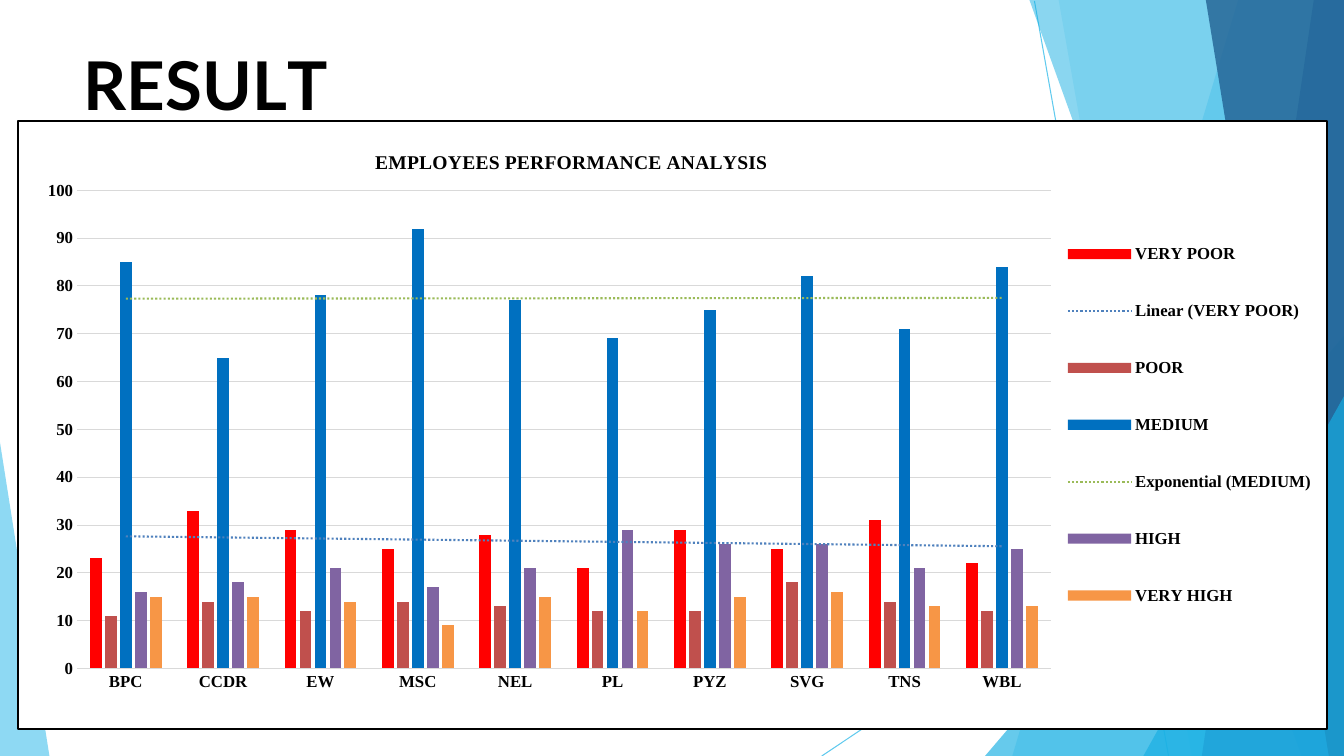
import pptx
import pptx.chart.data
import pptx.dml.color
import pptx.enum.chart
import pptx.enum.shapes
import pptx.enum.text
import pptx.oxml
import pptx.oxml.ns
import pptx.util
from lxml import etree

Inches, Pt = pptx.util.Inches, pptx.util.Pt
qn = pptx.oxml.ns.qn
WIDE, HIGH = 13.33, 7.5
SERIF = "Times New Roman"
COLORS = {
    "black": "000000", "white": "FFFFFF", "grid": "D9D9D9",
    "sky": "5FCAEE", "cyan": "17AFE3", "blue": "2D83C3", "navy": "226192",
    "very poor": "FF0000", "poor": "C0504D", "medium": "0070C0",
    "high": "8064A2", "very high": "F79646",
    "linear": "4F81BD", "exp": "9BBB59",
}
BANDS = [  # colour, opacity in percent, corners
    ("sky", 36, [(WIDE, 0), (12.28, 0), (10.04, HIGH), (WIDE, HIGH)]),
    ("sky", 20, [(WIDE, 0), (10.5, 0), (11.82, HIGH), (WIDE, HIGH)]),
    ("cyan", 66, [(WIDE, 3.33), (9.77, HIGH), (WIDE, HIGH)]),
    ("cyan", 50, [(WIDE, 0), (10.21, 0), (12.91, HIGH), (WIDE, HIGH)]),
    ("blue", 70, [(WIDE, 0), (13.03, 0), (11.92, HIGH), (WIDE, HIGH)]),
    ("navy", 80, [(WIDE, 0), (11.96, 0), (13.18, HIGH), (WIDE, HIGH)]),
    ("cyan", 66, [(WIDE, 3.93), (11.34, HIGH), (WIDE, HIGH)]),
    ("sky", 70, [(0, 4.39), (0, HIGH), (0.49, HIGH)]),
]
RAYS = [(10.26, 0.01, 11.59, HIGH), (WIDE, 4.04, 8.15, HIGH)]
TEAMS = ["BPC", "CCDR", "EW", "MSC", "NEL", "PL", "PYZ", "SVG", "TNS", "WBL"]
SCORES = {
    "VERY POOR": [23, 33, 29, 25, 28, 21, 29, 25, 31, 22],
    "POOR": [11, 14, 12, 14, 13, 12, 12, 18, 14, 12],
    "MEDIUM": [85, 65, 78, 92, 77, 69, 75, 82, 71, 84],
    "HIGH": [16, 18, 21, 17, 21, 29, 26, 26, 21, 25],
    "VERY HIGH": [15, 15, 14, 9, 15, 12, 15, 16, 13, 13],
}
TRENDS = {"VERY POOR": "linear", "MEDIUM": "exp"}


def rgb(name):
    return pptx.dml.color.RGBColor.from_string(COLORS[name])


def style(font, size, face=SERIF, color="black", bold=True):
    font.name, font.size, font.bold = face, Pt(size), bold
    font.color.rgb = rgb(color)


def write(par, text, space=0, **look):
    """Add a run; space is the letter spacing in points."""
    run = par.add_run()
    run.text = text
    style(run.font, **look)
    if space:
        run.font._element.set("spc", str(round(space * 100)))


def stroke(line, color, width):
    line.color.rgb = rgb(color)
    line.width = Pt(width)


def backdrop(slide):
    for ends in RAYS:
        ray = slide.shapes.add_connector(
            pptx.enum.shapes.MSO_CONNECTOR.STRAIGHT, *map(Inches, ends))
        stroke(ray.line, "sky", 0.75)
        etree.SubElement(ray._element.spPr, qn("a:effectLst"))
    for color, alpha, corners in BANDS:
        first, *rest = [(Inches(x), Inches(y)) for x, y in corners]
        pen = slide.shapes.build_freeform(*first, scale=1.0)
        pen.add_line_segments(rest, close=True)
        band = pen.convert_to_shape()
        band.shadow.inherit = False
        band.line.fill.background()
        band.fill.solid()
        band.fill.fore_color.rgb = rgb(color)
        tint = band._element.spPr.find(".//" + qn("a:srgbClr"))
        etree.SubElement(tint, qn("a:alpha")).set("val", str(alpha * 1000))


def heading(slide, box):
    frame = slide.shapes.add_textbox(*map(Inches, box)).text_frame
    frame.word_wrap = True
    frame.margin_left = frame.margin_right = frame.margin_bottom = 0
    frame.margin_top = Inches(0.01)
    par = frame.paragraphs[0]
    par.space_before = Pt(1.1)
    pieces = [("R", 0), ("E", -0.4), ("S", 0.1), ("U", -0.3), ("L", -4), ("TS"[:1], 0)]
    for text, space in pieces:
        write(par, text, space=space, size=48, face="Lato")


def xml(body):
    return pptx.oxml.parse_xml(body.replace(
        ">", " " + pptx.oxml.ns.nsdecls("c", "a") + ">", 1))


def layout(x, y, wide=None, high=None, inner=False):
    """Manual placement, in fractions of the chart."""
    parts = '<c:layoutTarget val="inner"/>' if inner else ""
    parts += '<c:xMode val="edge"/><c:yMode val="edge"/>'
    for tag, val in zip("xywh", (x, y, wide, high)):
        if val is not None:
            parts += f'<c:{tag} val="{val}"/>'
    return xml(f"<c:layout><c:manualLayout>{parts}</c:manualLayout></c:layout>")


def place(node, spot, after=None):
    """Set the layout of a chart part, behind the child named after."""
    for old in node.findall(qn("c:layout")):
        node.remove(old)
    if after is None:
        node.insert(0, spot)
    else:
        node.find(qn(after)).addnext(spot)


def outline(color, width, dash="solid"):
    return (f'<a:ln w="{Pt(width)}"><a:solidFill><a:srgbClr val="{COLORS[color]}"/>'
            f'</a:solidFill><a:prstDash val="{dash}"/></a:ln>')


def trend(series, kind):
    node = xml(f'<c:trendline><c:spPr>{outline(kind, 1.5, "sysDot")}</c:spPr>'
               f'<c:trendlineType val="{kind}"/><c:dispRSqr val="0"/>'
               f'<c:dispEq val="0"/></c:trendline>')
    series._element.find(qn("c:cat")).addprevious(node)


def axes(chart):
    for axis in (chart.category_axis, chart.value_axis):
        style(axis.tick_labels.font, 12)
        axis.major_tick_mark = pptx.enum.chart.XL_TICK_MARK.NONE
        axis.minor_tick_mark = pptx.enum.chart.XL_TICK_MARK.NONE
    stroke(chart.category_axis.format.line, "grid", 0.75)
    scale = chart.value_axis
    scale.format.line.fill.background()
    scale.minimum_scale, scale.maximum_scale, scale.major_unit = 0, 100, 10
    stroke(scale.major_gridlines.format.line, "grid", 0.75)


def scores(slide, box):
    data = pptx.chart.data.CategoryChartData()
    data.categories = TEAMS
    for name, vals in SCORES.items():
        data.add_series(name, vals)
    kind = pptx.enum.chart.XL_CHART_TYPE.COLUMN_CLUSTERED
    chart = slide.shapes.add_chart(kind, *map(Inches, box), data).chart
    style(chart.font, 10, face="Calibri", bold=False)
    axes(chart)

    plot = chart.plots[0]
    plot.gap_width, plot.overlap = 219, -27
    plot.vary_by_categories = False
    for series in plot.series:
        series.format.fill.solid()
        series.format.fill.fore_color.rgb = rgb(series.name.lower())
        if series.name in TRENDS:
            trend(series, TRENDS[series.name])

    chart.has_title = True
    title = chart.chart_title
    write(title.text_frame.paragraphs[0], "EMPLOYEES PERFORMANCE ANALYSIS", size=14)
    title.include_in_layout = False
    place(title._element, layout(0.27, 0.04), "c:tx")

    chart.has_legend = True
    legend = chart.legend
    legend.position = pptx.enum.chart.XL_LEGEND_POSITION.RIGHT
    legend.include_in_layout = False
    style(legend.font, 12)
    place(legend._element, layout(0.8, 0.14, 0.19, 0.72), "c:legendPos")

    root = chart._chartSpace
    place(root.find(".//" + qn("c:plotArea")),
          layout(0.045, 0.114, 0.744, 0.787, inner=True))
    root.find(qn("c:chart")).addnext(xml(
        f'<c:spPr><a:solidFill><a:srgbClr val="{COLORS["white"]}"/></a:solidFill>'
        f'{outline("black", 1.5)}</c:spPr>'))


def main():
    deck = pptx.Presentation()
    deck.slide_width, deck.slide_height = Inches(WIDE), Inches(HIGH)
    slide = deck.slides.add_slide(deck.slide_layouts[6])
    backdrop(slide)
    heading(slide, (0.83, 0.42, 2.67, 0.83))
    scores(slide, (0.17, 1.19, 13, 6.05))
    deck.save("out.pptx")


if __name__ == "__main__":
    main()
